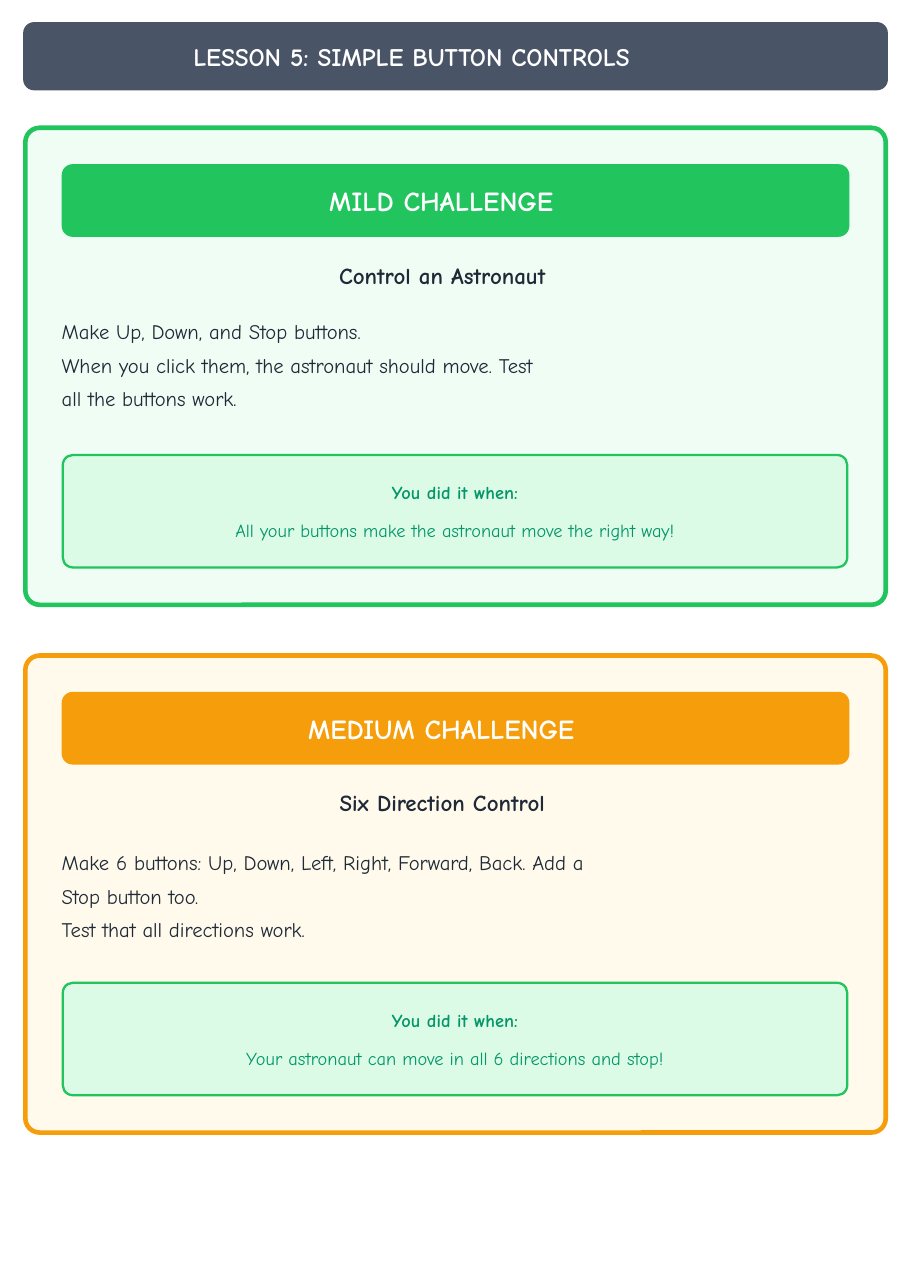
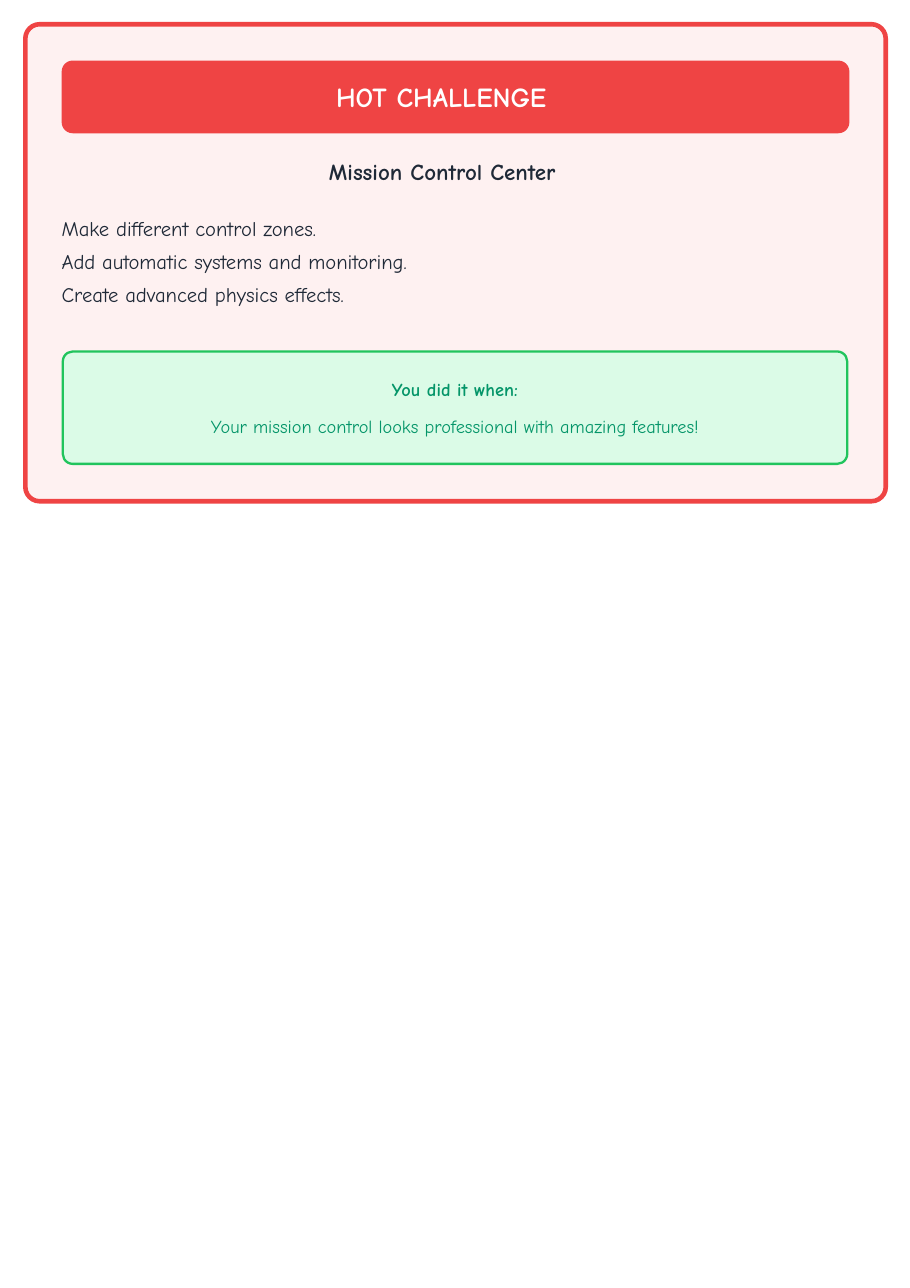
from pptx import Presentation
from pptx.dml.color import RGBColor
from pptx.enum.shapes import MSO_SHAPE as Shape
from pptx.enum.text import MSO_ANCHOR as Anchor, MSO_AUTO_SIZE as AutoSize, PP_ALIGN as Align
from pptx.util import Emu, Pt

PX = 9144  # EMU per px, 100 px to the inch
FONT = "Comic Neue"
WHITE, INK, SLATE = "FFFFFF", "1F2937", "4A5467"
GREEN, GOAL_FILL, GOAL_TEXT = "21C45D", "DBFBE7", "049569"

BAR_TITLE = {"size": Pt(16.5), "bold": True, "color": WHITE}
BANNER = {"size": Pt(18), "bold": True, "color": WHITE}
SUBTITLE = {"size": Pt(15), "bold": True, "color": INK}
BODY = {"size": Pt(13.5), "bold": False, "color": INK}
GOAL_HEAD = {"size": Pt(12), "bold": True, "color": GOAL_TEXT}
GOAL = {**GOAL_HEAD, "bold": False}

BODY_SPACING = {"line_spacing": Pt(21.75)}
GOAL_SPACING = {"space_before": Pt(10.3)}


def px(*lengths):
    return [Emu(length * PX) for length in lengths]


def rgb(color):
    return RGBColor.from_string(color)


def set_all(target, values):
    for name, value in values.items():
        setattr(target, name, value)


class Worksheet:
    """Holds the presentation, the current slide and the shared style."""

    def __init__(self, width, height):
        self.presentation = Presentation()
        set_all(self.presentation, dict(zip(("slide_width", "slide_height"), px(width, height))))
        self.slide = None

    def add_slide(self):
        self.slide = self.presentation.slides.add_slide(self.presentation.slide_layouts[5])

    def fill_text(self, shape, lines, align=Align.CENTER, anchor=Anchor.MIDDLE):
        """Fill a shape with (text, font format, paragraph format) lines."""
        frame = shape.text_frame
        set_all(frame, {"word_wrap": True, "auto_size": AutoSize.NONE, "vertical_anchor": anchor,
                        "margin_left": 0, "margin_right": 0, "margin_top": 0, "margin_bottom": 0})
        for index, (text, style, spacing) in enumerate(lines):
            paragraph = frame.add_paragraph() if index else frame.paragraphs[0]
            paragraph.text = text
            set_all(paragraph, {"alignment": align, "space_before": Pt(0), **spacing})
            set_all(paragraph.font, {"name": FONT, "size": style["size"], "bold": style["bold"]})
            paragraph.font.color.rgb = rgb(style["color"])

    def panel(self, box, radius, fill, line=None, line_width=0):
        shape = self.slide.shapes.add_shape(Shape.ROUNDED_RECTANGLE, *px(*box))
        shape.adjustments[0] = radius / min(box[2:])
        shape.shadow.inherit = False
        shape.fill.solid()
        shape.fill.fore_color.rgb = rgb(fill)
        if line:
            shape.line.color.rgb = rgb(line)
            shape.line.width = Pt(line_width)
        else:
            shape.line.fill.background()
        return shape

    def text(self, box, lines, **layout):
        self.fill_text(self.slide.shapes.add_textbox(*px(*box)), lines, **layout)

    def title(self, box, text, style):
        """Place the title placeholder in front of the bar drawn before it."""
        title = self.slide.shapes.title
        set_all(title, dict(zip(("left", "top", "width", "height"), px(*box))))
        self.fill_text(title, [(text, style, {})])
        self.slide.shapes._spTree.append(title._element)

    def header(self, text):
        self.panel((21, 20, 785, 62), 10, SLATE)
        self.title((21, 20, 705, 62), text, BAR_TITLE)

    def card(self, top, color, tint, level, subtitle, body, goal,
             body_width=490, body_top=166, is_title=False):
        self.panel((23, top, 781, 433), 13, tint, color, 3)
        self.panel((56, top + 33, 715, 66), 10, color)
        goal_box = self.panel((57, top + 297, 712, 102), 9, GOAL_FILL, GREEN, 1.5)
        self.fill_text(goal_box, [("You did it when:", GOAL_HEAD, {}), (goal, GOAL, GOAL_SPACING)])

        banner = (56, top + 33, 689, 66)
        if is_title:
            self.title(banner, level, BANNER)
        else:
            self.text(banner, [(level, BANNER, {})])
        self.text((56, top + 121, 691, 25), [(subtitle, SUBTITLE, {})])
        self.text((56, top + body_top, body_width, 96),
                  [(line, BODY, BODY_SPACING) for line in body],
                  align=Align.LEFT, anchor=Anchor.TOP)


def main():
    sheet = Worksheet(826, 1169)

    sheet.add_slide()
    sheet.header("LESSON 5: SIMPLE BUTTON CONTROLS")
    sheet.card(116, GREEN, "F0FDF4", "MILD CHALLENGE", "Control an Astronaut",
               ["Make Up, Down, and Stop buttons.",
                "When you click them, the astronaut should move. Test all the buttons work."],
               "All your buttons make the astronaut move the right way!", body_width=442)
    sheet.card(595, "F59D0A", "FFFAEB", "MEDIUM CHALLENGE", "Six Direction Control",
               ["Make 6 buttons: Up, Down, Left, Right, Forward, Back. Add a Stop button too.",
                "Test that all directions work."],
               "Your astronaut can move in all 6 directions and stop!", body_top=169)

    sheet.add_slide()
    sheet.card(22, "EF4444", "FEF1F1", "HOT CHALLENGE", "Mission Control Center",
               ["Make different control zones.",
                "Add automatic systems and monitoring.",
                "Create advanced physics effects."],
               "Your mission control looks professional with amazing features!", is_title=True)

    sheet.presentation.save("out.pptx")


if __name__ == "__main__":
    main()
